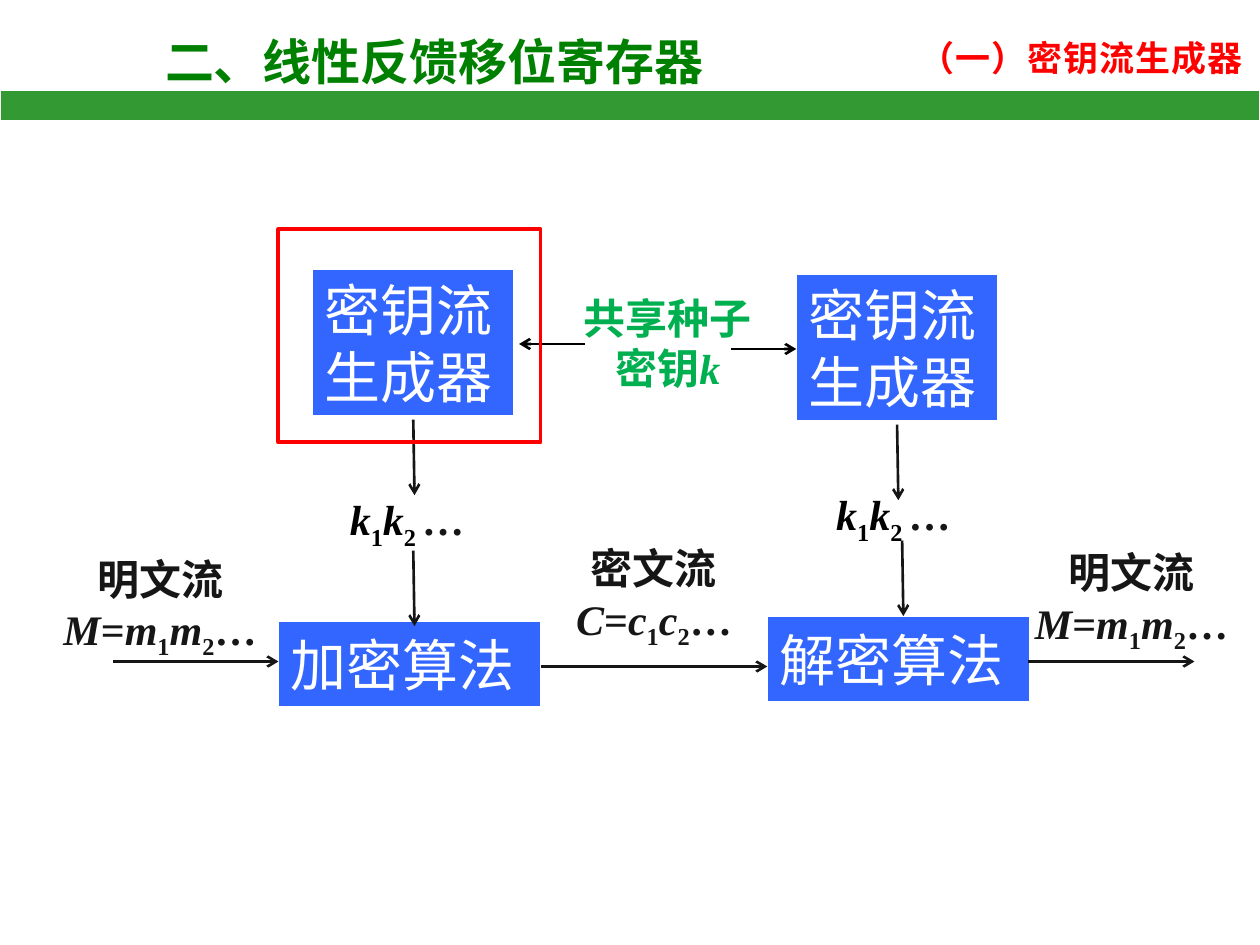
from dataclasses import dataclass
from itertools import groupby

from lxml import etree
from pptx import Presentation
from pptx import util as u
from pptx.dml.color import RGBColor
from pptx.enum import shapes, text
from pptx.oxml import ns


@dataclass(frozen=True)
class Theme:
    cjk: str = "Noto Sans CJK SC"
    latin: str = "Times New Roman"
    title: str = "008000"
    bar: str = "339933"
    red: str = "FF0000"
    box: str = "3366FF"
    white: str = "FFFFFF"
    black: str = "000000"
    ink: str = "161616"
    seed: str = "00B050"
    title_size: int = 28
    section_size: int = 20
    box_size: int = 32
    label_size: int = 24
    line_ratio: float = 1.2


T = Theme()


def inches(*values):
    return [u.Inches(v) for v in values]


def set_attrs(obj, values):
    for name, value in values.items():
        setattr(obj, name, value)


def is_cjk(line):
    return any("\u4e00" <= c <= "\u9fff" for c in line)


def char_kind(c):
    if c.isascii() and c.isalpha():
        return "variable"
    if c.isdigit() or c == " ":
        return "subscript"
    return "ellipsis" if c == "…" else "plain"


def add_run(p, content, size, color, font, bold=True, italic=False):
    r = p.add_run()
    r.text = content
    set_attrs(r.font, dict(name=font, size=u.Pt(size), bold=bold, italic=italic))
    r.font.color.rgb = RGBColor.from_string(color)
    if is_cjk(content):
        ea = etree.SubElement(r.font._element, ns.qn("a:ea"))
        ea.set("typeface", T.cjk)
    return r


def add_paragraphs(tf, lines, size, align):
    for i, line in enumerate(lines):
        p = tf.add_paragraph() if i else tf.paragraphs[0]
        p.alignment = align
        if is_cjk(line):
            p.line_spacing = u.Pt(round(size * T.line_ratio, 1))
        yield p, line


def fill_plain(tf, lines, size, color, bold):
    for p, line in add_paragraphs(tf, lines, size, text.PP_ALIGN.LEFT):
        add_run(p, line, size, color, T.cjk, bold)


def add_title(s, at, content):
    sp = s.shapes.title
    set_attrs(sp, dict(zip(("left", "top", "width", "height"), inches(*at))))
    tf = sp.text_frame
    set_attrs(tf, dict(word_wrap=True, auto_size=text.MSO_AUTO_SIZE.NONE,
                       vertical_anchor=text.MSO_ANCHOR.TOP))
    fill_plain(tf, [content], T.title_size, T.title, True)


def add_section(s, at, content):
    tf = s.shapes.add_textbox(*inches(*at)).text_frame
    tf.word_wrap = False
    fill_plain(tf, [content], T.section_size, T.red, True)
    tf.paragraphs[0].runs[0].font._element.set("spc", "50")


def add_rect(s, at, fill, line, width=0.75):
    sp = s.shapes.add_shape(shapes.MSO_SHAPE.RECTANGLE, *inches(*at))
    sp.shadow.inherit = False
    if fill:
        sp.fill.solid()
        sp.fill.fore_color.rgb = RGBColor.from_string(fill)
    else:
        sp.fill.background()
    sp.line.color.rgb = RGBColor.from_string(line)
    sp.line.width = u.Pt(width)
    return sp


def add_box(s, at, *lines):
    tf = add_rect(s, at, T.box, T.white).text_frame
    set_attrs(tf, dict(word_wrap=True, vertical_anchor=text.MSO_ANCHOR.MIDDLE))
    fill_plain(tf, lines, T.box_size, T.white, False)


def add_label(s, at, lines, color):
    tf = s.shapes.add_textbox(*inches(*at)).text_frame
    tf.word_wrap = True
    for p, line in add_paragraphs(tf, lines, T.label_size, text.PP_ALIGN.CENTER):
        for kind, chars in groupby(line, char_kind):
            r = add_run(p, "".join(chars), T.label_size,
                        T.ink if kind == "ellipsis" else color,
                        T.latin, italic=kind == "variable")
            if kind == "subscript":
                r.font._element.set("baseline", "-25000")


def add_arrow(s, start, end, color):
    c = s.shapes.add_connector(shapes.MSO_CONNECTOR.STRAIGHT, *inches(*start, *end))
    c.line.color.rgb = RGBColor.from_string(color)
    c.line.width = u.Pt(1.5)
    etree.SubElement(c.line._get_or_add_ln(), ns.qn("a:tailEnd")).set("type", "arrow")
    etree.SubElement(c._element.spPr, ns.qn("a:effectLst"))


def main():
    prs = Presentation()
    prs.slide_width, prs.slide_height = inches(10, 7.5)
    s = prs.slides.add_slide(prs.slide_layouts[5])

    add_title(s, (1.21, 0.2, 4.95, 0.57), "二、线性反馈移位寄存器")
    add_section(s, (7.2, 0.24, 2.81, 0.44), "（一）密钥流生成器")
    add_rect(s, (0, 0.72, 10, 0.24), T.bar, T.white)

    for left, top, name in ((2.21, 4.93, "加密算法"), (6.09, 4.89, "解密算法")):
        add_box(s, (left, top, 2.08, 0.68), name)
    for left, top in ((2.48, 2.14), (6.32, 2.18)):
        add_box(s, (left, top, 1.6, 1.16), "密钥流", "生成器")

    for x, y in ((3.28, 3.33), (3.28, 4.37), (7.12, 3.37), (7.16, 4.29)):
        add_arrow(s, (x, y), (x + 0.01, y + 0.6), T.ink)
    for x1, x2, y in ((0.9, 2.21, 5.25), (4.29, 6.09, 5.29), (8.16, 9.48, 5.25)):
        add_arrow(s, (x1, y), (x2, y), T.ink)
    for x1, x2, y in ((4.64, 4.12, 2.73), (5.8, 6.32, 2.77)):
        add_arrow(s, (x1, y), (x2, y), T.black)

    for left, top, name, formula in ((0.01, 4.34, "明文流", "M=m1m2…"),
                                     (3.93, 4.26, "密文流", "C=c1c2…"),
                                     (7.72, 4.29, "明文流", "M=m1m2…")):
        add_label(s, (left, top, 2.52, 0.91), (name, formula), T.ink)
    for left, top in ((1.97, 3.87), (5.83, 3.83)):
        add_label(s, (left, top, 2.52, 0.5), ["k1k2 …"], T.black)
    add_label(s, (4.52, 2.27, 1.56, 0.91), ["共享种子密钥k"], T.seed)

    add_rect(s, (2.21, 1.82, 2.08, 1.69), None, T.red, 2.25)
    prs.save("out.pptx")


if __name__ == "__main__":
    main()
